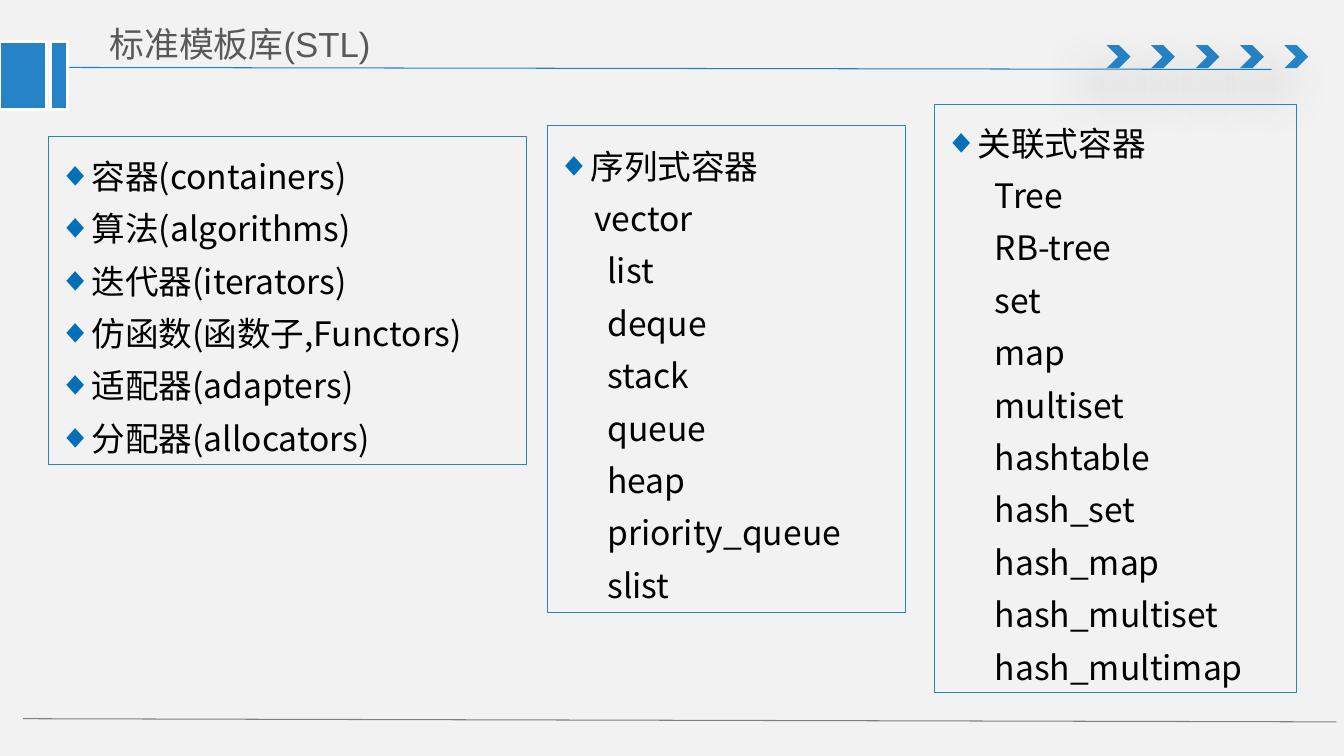
from lxml import etree
from pptx import Presentation
from pptx.dml.color import RGBColor
from pptx.enum import shapes, text
from pptx.oxml import ns
from pptx.util import Cm, Pt

BLUE = "2683C6"
SANS = "Noto Sans CJK SC"


def paint(fmt, color):
    """Give a fill, line or font format a solid colour."""
    if hasattr(fmt, "solid"):
        fmt.solid()
        fmt.fore_color.rgb = RGBColor.from_string(color)
    else:
        fmt.color.rgb = RGBColor.from_string(color)


def add(parent, xml):
    """Append DrawingML elements."""
    root = etree.fromstring(f'<r xmlns:a="{ns.nsuri("a")}">{xml}</r>')
    for part in list(root):
        parent.append(part)


deck = Presentation()
deck.slide_width, deck.slide_height = Cm(33.87), Cm(19.05)
slide = deck.slides.add_slide(deck.slide_layouts[5])
paint(slide.background.fill, "F2F2F2")
draw = slide.shapes

# Rules under the title and above the footer
for x1, y1, x2, y2, color in [(1.75, 1.7, 32.05, 1.75, "2181C6"),
                              (0.58, 18.11, 33.68, 18.19, "808080")]:
    rule = draw.add_connector(shapes.MSO_CONNECTOR.STRAIGHT,
                              Cm(x1), Cm(y1), Cm(x2), Cm(y2))
    paint(rule.line, color)
    rule.line.width = Pt(0.75)
    add(rule._element.spPr, "<a:effectLst/>")

# Row of chevrons with soft shadows
for i in range(5):
    mark = draw.add_shape(shapes.MSO_SHAPE.CHEVRON, Cm(27.89 + 1.12 * i),
                          Cm(1.14), Cm(0.6), Cm(0.58))
    paint(mark.fill, BLUE)
    mark.line.fill.background()
    add(mark._element.spPr,
        '<a:effectLst><a:outerShdw blurRad="457200" dist="304800" dir="7800000">'
        '<a:srgbClr val="000000"><a:alpha val="38000"/></a:srgbClr>'
        '</a:outerShdw></a:effectLst>')

# Blocks at the left edge
for x, w in [(0, 1.17), (1.27, 0.43)]:
    block = draw.add_shape(shapes.MSO_SHAPE.RECTANGLE,
                           Cm(x), Cm(1.04), Cm(w), Cm(1.73))
    block.shadow.inherit = False
    paint(block.fill, BLUE)
    paint(block.line, "FFFFFF")
    block.line.width = Pt(2)

# Title
title = draw.title
title.left, title.top, title.width, title.height = Cm(2.51), Cm(0.36), Cm(19.13), Cm(1.4)
frame = title.text_frame
frame.text = "标准模板库(STL)"
frame.vertical_anchor = text.MSO_ANCHOR.BOTTOM
line = frame.paragraphs[0]
line.alignment = text.PP_ALIGN.LEFT
line.font.size, line.font.name = Pt(24.9), "Arial"
paint(line.font, "595959")

# Boxes: place, bulleted lines, then plain lines with their indents
boxes = [
    (1.22, 3.45, 12.04, 8.26,
     ["容器(containers)", "算法(algorithms)", "迭代器(iterators)",
      "仿函数(函数子,Functors)", "适配器(adapters)", "分配器(allocators)"], []),
    (13.79, 3.17, 9.02, 12.27, ["序列式容器"],
     [(0.94, "vector"), (1.27, "list"), (1.27, "deque"), (1.27, "stack"),
      (1.27, "queue"), (1.27, "heap\vpriority_queue\vslist")]),
    (23.55, 2.64, 9.12, 14.81, ["关联式容器"],
     [(1.27, "Tree\vRB-tree\vset\vmap\vmultiset\vhashtable\vhash_set\v"
             "hash_map\vhash_multiset\vhash_multimap")]),
]
for x, y, w, h, heads, items in boxes:
    box = draw.add_shape(shapes.MSO_SHAPE.RECTANGLE, Cm(x), Cm(y), Cm(w), Cm(h))
    box.shadow.inherit = False
    box.fill.background()
    paint(box.line, BLUE)
    box.line.width = Pt(0.75)
    frame = box.text_frame
    frame.word_wrap = True
    frame.vertical_anchor = text.MSO_ANCHOR.MIDDLE
    rows = [(0.79, head) for head in heads] + items
    frame.text = "\n".join(words for _, words in rows)
    for i, (line, (indent, _)) in enumerate(zip(frame.paragraphs, rows)):
        line.alignment = text.PP_ALIGN.LEFT
        line.line_spacing = 1.3
        line.font.size, line.font.name = Pt(24), SANS
        paint(line.font, "000000")
        props = line._p.get_or_add_pPr()
        props.set("marL", str(Cm(indent)))
        if i < len(heads):
            props.set("indent", str(-Cm(indent)))
            # Bullet elements belong between the spacing and the run defaults
            rest = props.find(ns.qn("a:defRPr"))
            add(props, '<a:buClr><a:srgbClr val="046FB6"/></a:buClr>'
                       '<a:buFont typeface="Arial"/><a:buChar char="◆"/>')
            if rest is not None:
                props.append(rest)

deck.save("out.pptx")
